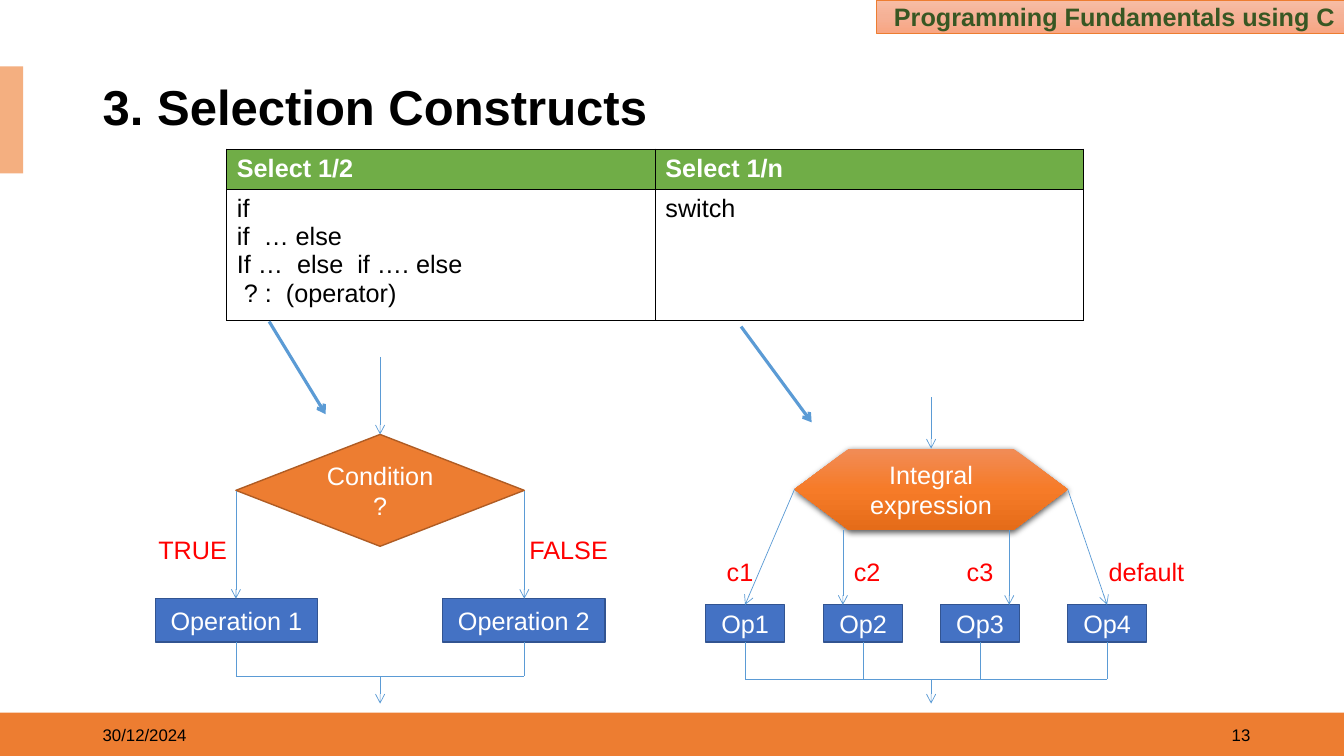
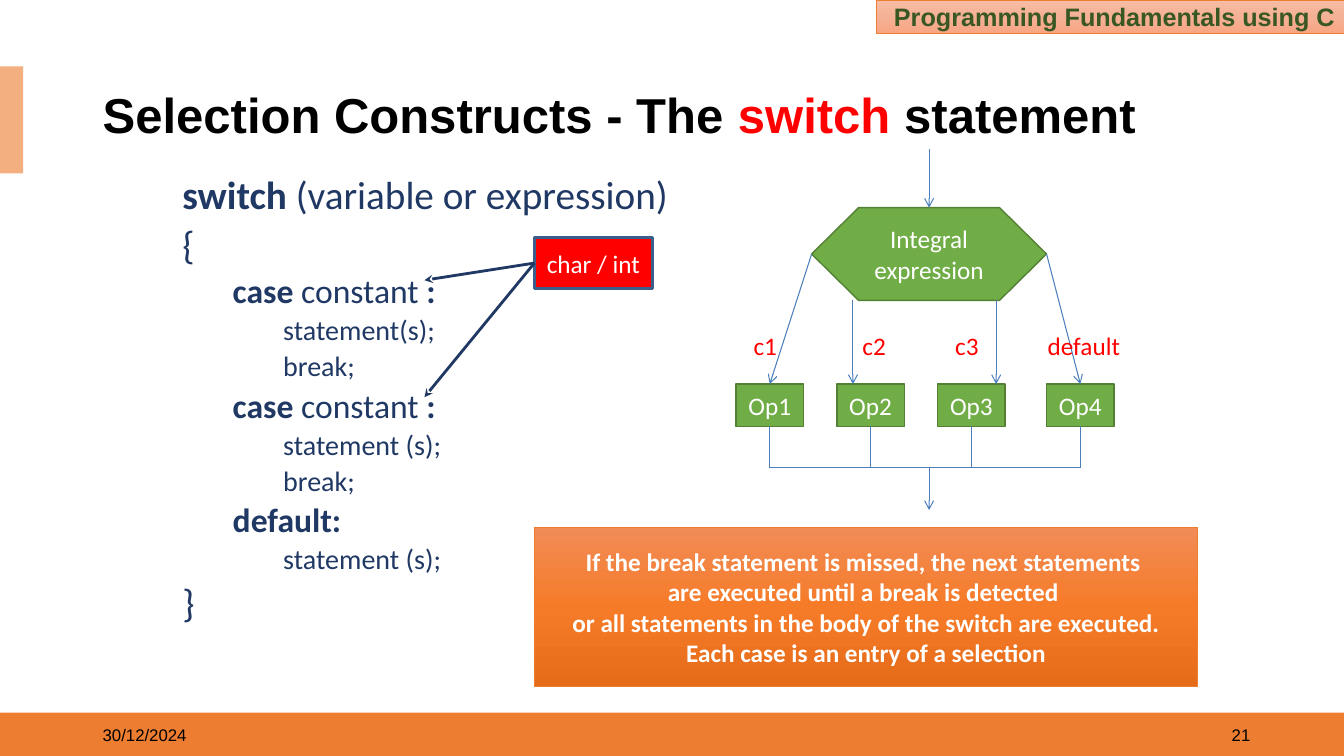
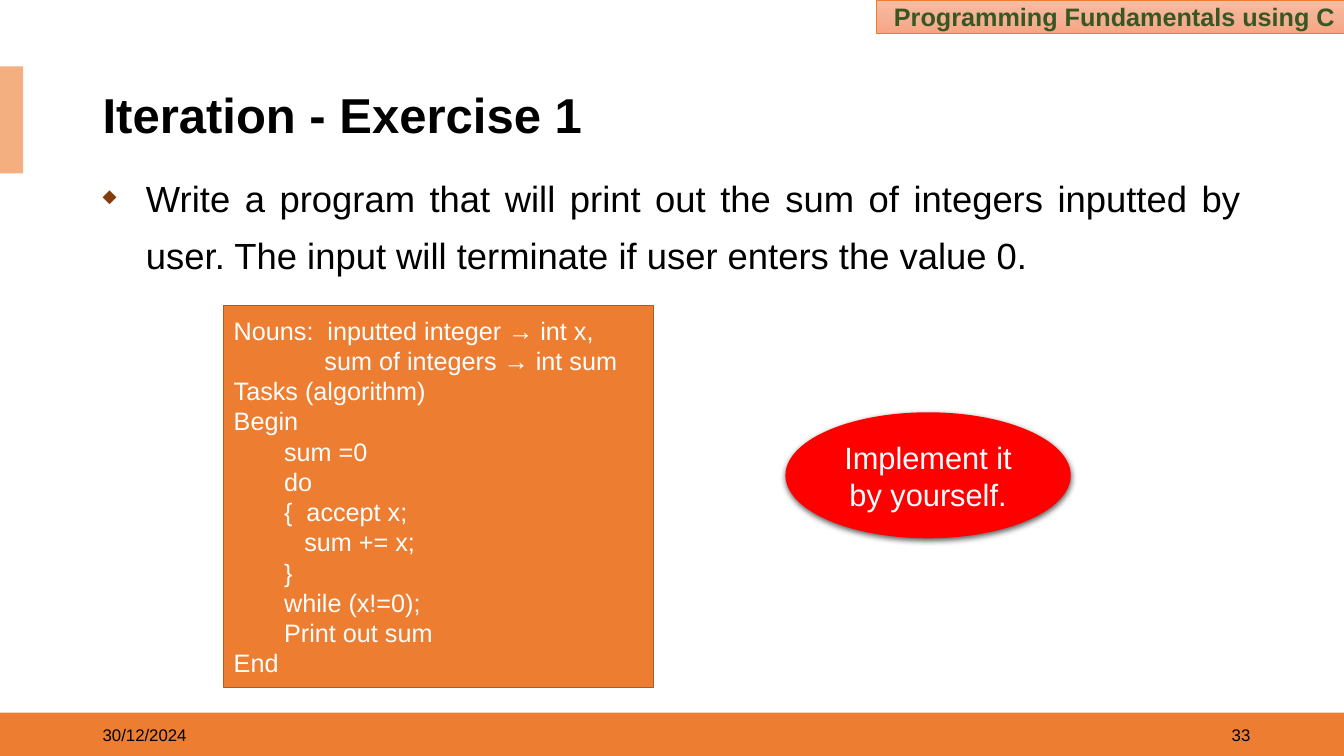
from copy import deepcopy
from lxml import etree
from pptx import Presentation
from pptx.dml.color import RGBColor
from pptx.enum import shapes, text
from pptx.oxml.ns import qn
from pptx.util import Inches, Pt

BLACK = RGBColor(0x00, 0x00, 0x00)
WHITE = RGBColor(0xFF, 0xFF, 0xFF)
RED = RGBColor(0xFF, 0x00, 0x00)
ORANGE = RGBColor(0xED, 0x7D, 0x31)
ORANGE_EDGE = RGBColor(0xAF, 0x5C, 0x24)
PEACH = RGBColor(0xF4, 0xAF, 0x80)
GREEN = RGBColor(0x70, 0xAD, 0x47)
GREEN_EDGE = RGBColor(0x53, 0x80, 0x35)
DARK_GREEN = RGBColor(0x38, 0x57, 0x23)
BLUE = RGBColor(0x44, 0x72, 0xC4)
BLUE_EDGE = RGBColor(0x32, 0x54, 0x91)
SKY = RGBColor(0x5B, 0x9B, 0xD5)
STEEL = RGBColor(0x4B, 0x7E, 0xBC)
STEEL_EDGE = RGBColor(0x3A, 0x5F, 0x8C)
NAVY = RGBColor(0x20, 0x38, 0x64)
PEACH_FADE = [RGBColor(0xF7, 0xBD, 0xA5), RGBColor(0xF5, 0xB1, 0x96), RGBColor(0xF8, 0xA5, 0x82)]
ORANGE_FADE = [RGBColor(0xF1, 0x8C, 0x57), RGBColor(0xF6, 0x7B, 0x28), RGBColor(0xE5, 0x6C, 0x19)]

SHAPE = shapes.MSO_SHAPE
LEFT, CENTER, RIGHT, JUSTIFY = (text.PP_ALIGN.LEFT, text.PP_ALIGN.CENTER,
                                text.PP_ALIGN.RIGHT, text.PP_ALIGN.JUSTIFY)
TOP, MIDDLE = text.MSO_ANCHOR.TOP, text.MSO_ANCHOR.MIDDLE


def add_box(s, kind, at, paras=(), fill=None, line=None, width=1, size=18, font="Arial",
            color=WHITE, bold=False, align=CENTER, anchor=MIDDLE, wrap=True, shadow=False):
    at = [Inches(v) for v in at]
    if kind is None:
        sp = s.shapes.add_textbox(*at)
    else:
        sp = s.shapes.add_shape(kind, *at)
        sp.shadow.inherit = False
        if isinstance(fill, list):
            sp.fill.gradient()
            sp.fill.gradient_angle = 270
            stops = sp._element.spPr.find(".//" + qn("a:gsLst"))
            stops.insert(1, deepcopy(stops[0]))
            for i, stop in enumerate(sp.fill.gradient_stops):
                stop.position = i / 2
                stop.color.rgb = fill[i]
        else:
            sp.fill.solid()
            sp.fill.fore_color.rgb = fill
        if line is None:
            sp.line.fill.background()
        else:
            sp.line.color.rgb = line
            sp.line.width = Pt(width)
    if shadow:
        effects = sp._element.spPr.find(qn("a:effectLst"))
        outer = etree.SubElement(effects, qn("a:outerShdw"), blurRad="57150", dist="19050",
                                 dir="5400000", algn="ctr", rotWithShape="0")
        clr = etree.SubElement(outer, qn("a:srgbClr"), val="000000")
        etree.SubElement(clr, qn("a:alpha"), val="63000")
    tf = sp.text_frame
    tf.word_wrap = wrap
    tf.vertical_anchor = anchor
    for i, runs in enumerate(paras):
        p = tf.paragraphs[0] if i == 0 else tf.add_paragraph()
        p.alignment = align
        for words, look in [(runs, {})] if isinstance(runs, str) else runs:
            r = p.add_run()
            r.text = words
            r.font.name = font
            r.font.size = Pt(look.get("size", size))
            r.font.bold = look.get("bold", bold)
            r.font.color.rgb = look.get("color", color)
    return sp


def add_line(s, start, end, color, width, head=None):
    cn = s.shapes.add_connector(shapes.MSO_CONNECTOR.STRAIGHT, *[Inches(v) for v in start + end])
    cn.line.color.rgb = color
    cn.line.width = Pt(width)
    if head:
        etree.SubElement(cn.line._get_or_add_ln(), qn("a:tailEnd"), type=head)
    etree.SubElement(cn._element.spPr, qn("a:effectLst"))


prs = Presentation()
prs.slide_width, prs.slide_height = Inches(13.33), Inches(7.5)

titles = [
    ("13", 0.77, "3. Selection Constructs"),
    ("21", 0.85, [("Selection Constructs - The", {}), (" switch ", {"color": RED}), ("statement", {})]),
    ("33", 0.85, "Iteration - Exercise 1"),
]
for number, top, title in titles:
    s = prs.slides.add_slide(prs.slide_layouts[6])
    add_box(s, SHAPE.RECTANGLE, (0, 7.07, 13.33, 0.44), fill=ORANGE)
    add_box(s, SHAPE.RECTANGLE, (0, 0.66, 0.23, 1.06), fill=PEACH)
    add_box(s, SHAPE.RECTANGLE, (8.69, 0, 4.65, 0.33), ["Programming Fundamentals using C"],
            PEACH_FADE, ORANGE, 0.5, color=DARK_GREEN, bold=True, align=RIGHT)
    sp = add_box(s, None, (0.92, top, 11.5, 0.63), [title], size=35, color=BLACK, bold=True, align=LEFT)
    sp.text_frame.paragraphs[0].line_spacing = 0.9
    add_box(s, None, (9.5, 7.09, 3, 0.4), [number], size=12, color=BLACK, align=RIGHT)
    add_box(s, None, (0.92, 7.09, 3, 0.4), ["30/12/2024"], size=12, color=BLACK, align=LEFT)
constructs, switch, exercise = prs.slides

s = constructs
tbl = s.shapes.add_table(2, 2, Inches(2.25), Inches(1.48), Inches(8.5), Inches(1.6)).table
tbl.horz_banding = False
cells = [
    ["Select 1/2", "Select 1/n"],
    ["if\nif  … else\nIf …  else  if …. else\n ? :  (operator)", "switch"],
]
for i, row in enumerate(cells):
    tbl.rows[i].height = Inches((0.38, 1.22)[i])
    for j, words in enumerate(row):
        c = tbl.cell(i, j)
        c.text_frame.text = words
        c.fill.solid()
        c.fill.fore_color.rgb = (GREEN, WHITE)[i]
        for p in c.text_frame.paragraphs:
            for r in p.runs:
                r.font.name, r.font.size, r.font.bold = "Arial", Pt(18), i == 0
                r.font.color.rgb = (WHITE, BLACK)[i]
        for k, side in enumerate(("a:lnL", "a:lnR", "a:lnT", "a:lnB")):
            ln = etree.Element(qn(side), w="12700")
            solid = etree.SubElement(ln, qn("a:solidFill"))
            etree.SubElement(solid, qn("a:srgbClr"), val="000000")
            c._tc.tcPr.insert(k, ln)

add_box(s, SHAPE.DIAMOND, (2.34, 4.31, 2.86, 1.11), ["Condition ?"], ORANGE, ORANGE_EDGE)
add_line(s, (3.77, 3.54), (3.77, 4.31), SKY, 0.5, "arrow")
branches = [(2.34, 1.54, "Operation 1", 1.42, "TRUE"), (5.2, 4.39, "Operation 2", 5.15, "FALSE")]
for x, left, operation, label_left, label in branches:
    add_box(s, SHAPE.RECTANGLE, (left, 5.94, 1.61, 0.43), [operation], BLUE, BLUE_EDGE)
    add_line(s, (x, 4.87), (x, 5.94), SKY, 0.5, "arrow")
    add_line(s, (x, 6.37), (x, 6.71), SKY, 0.5)
    add_box(s, None, (label_left, 5.24, 0.98, 0.43), [label], color=RED, wrap=False)
add_line(s, (2.34, 6.71), (5.2, 6.71), SKY, 0.5)
add_line(s, (3.77, 6.71), (3.77, 6.98), SKY, 0.5, "arrow")
add_line(s, (2.67, 3.19), (3.23, 4.11), SKY, 2.25, "arrow")
add_line(s, (7.35, 3.24), (8.05, 4.19), SKY, 2.25, "arrow")

s = switch
code = [
    (0, "switch", " (variable or expression)", ""),
    (0, "", "{", ""),
    (1, "case", " constant ", ":"),
    (2, "", "statement(s);", ""),
    (2, "", "break;", ""),
    (1, "case", " constant ", ":"),
    (2, "", "statement (s);", ""),
    (2, "", "break;", ""),
    (1, "default:", "", ""),
    (2, "", "statement (s);", ""),
    (0, "", "}", ""),
]
paras = [[(words, {"size": 28 - 4 * level, "bold": i != 1}) for i, words in enumerate(parts) if words]
         for level, *parts in code]
sp = add_box(s, None, (1.71, 1.69, 5.92, 4.95), paras, font="Calibri", color=NAVY, align=LEFT, anchor=TOP)
for p, (level, *parts) in zip(sp.text_frame.paragraphs, code):
    p.line_spacing = 0.9
    p.space_before = Pt(0.2 * (28 - 4 * level))
    p._p.get_or_add_pPr().set("marL", str(Inches(0.5 * level)))
add_box(s, SHAPE.RECTANGLE, (5.3, 2.36, 1.17, 0.5), ["char / int"], RED, STEEL_EDGE, 2, font="Calibri")
for y in (2.78, 3.94):
    add_line(s, (5.3, 2.61), (4.21, y), NAVY, 2, "stealth")
add_box(s, SHAPE.RECTANGLE, (5.3, 5.23, 6.58, 1.58), [
    "If the break statement is missed, the next statements ",
    "are executed until a break is detected ",
    "or all statements in the body of the switch are executed.",
    "Each case is an entry of a selection",
], ORANGE_FADE, ORANGE, 0.5, font="Calibri", bold=True, wrap=False)

flows = [
    dict(s=constructs, font="Arial", hexagon=(7.88, 4.45, 2.71, 0.81), fill=ORANGE_FADE, edge=None,
         op_fill=BLUE, op_edge=BLUE_EDGE, line=(SKY, 0.5), entry=3.94, ops=(7, 8.17, 9.33, 10.59),
         op=(6, 0.78, 0.37), drops=(8.36, 10.01), join=6.74, leave=6.98,
         labels=(7, 8.26, 9.38, 10.74), label=(5.48, 0.68, 1.26)),
    dict(s=switch, font="Calibri", hexagon=(8.05, 2.06, 2.33, 0.92), fill=GREEN, edge=GREEN_EDGE,
         op_fill=GREEN, op_edge=GREEN_EDGE, line=(STEEL, 0.75), entry=1.48, ops=(7.3, 8.3, 9.3, 10.38),
         op=(3.81, 0.67, 0.42), drops=(8.46, 9.88), join=4.64, leave=5.06,
         labels=(7.3, 8.38, 9.3, 10.21), label=(3.22, 0.58, 1.08)),
]
for f in flows:
    s, line, font = f["s"], f["line"], f["font"]
    x, y, w, h = f["hexagon"]
    op_top, op_w, op_h = f["op"]
    label_top, label_w, last_w = f["label"]
    mid = x + w / 2
    centers = [left + op_w / 2 for left in f["ops"]]
    add_box(s, SHAPE.FLOWCHART_PREPARATION, f["hexagon"], ["Integral", "expression"], f["fill"], f["edge"],
            font=font, shadow=f["edge"] is None)
    add_line(s, (mid, f["entry"]), (mid, y), *line, "arrow")
    inner_left, inner_right = f["drops"]
    starts = [(x, y + h / 2), (inner_left, y + h), (inner_right, y + h), (x + w, y + h / 2)]
    ends = [centers[0], inner_left, inner_right, centers[3]]
    for i, label in enumerate(("c1", "c2", "c3", "default")):
        add_box(s, SHAPE.RECTANGLE, (f["ops"][i], op_top, op_w, op_h), [f"Op{i + 1}"],
                f["op_fill"], f["op_edge"], font=font)
        add_line(s, starts[i], (ends[i], op_top), *line, "arrow")
        add_line(s, (centers[i], op_top + op_h), (centers[i], f["join"]), *line)
        add_box(s, None, (f["labels"][i], label_top, last_w if i == 3 else label_w, op_h), [label],
                font=font, color=RED, wrap=False)
    add_line(s, (centers[0], f["join"]), (centers[3], f["join"]), *line)
    add_line(s, (mid, f["join"]), (mid, f["leave"]), *line, "arrow")

s = exercise
sp = add_box(s, None, (0.92, 1.57, 11.5, 5.47), [
    "Write a program that will print out the sum of integers inputted by user. "
    "The input will terminate if user enters the value 0."
], size=26, color=BLACK, align=JUSTIFY, anchor=TOP)
p = sp.text_frame.paragraphs[0]
p.line_spacing = 1.3
p.space_before = Pt(10)
pPr = p._p.get_or_add_pPr()
pPr.set("marL", str(Inches(0.43)))
pPr.set("indent", str(Inches(-0.43)))
clr = etree.SubElement(pPr, qn("a:buClr"))
etree.SubElement(clr, qn("a:srgbClr"), val="843C0B")
etree.SubElement(pPr, qn("a:buSzPct"), val="50000")
etree.SubElement(pPr, qn("a:buChar"), char="◆")

algorithm = [
    (0, "Nouns:  inputted integer → int x,"),
    (0.9, "sum of integers → int sum"),
    (0, "Tasks (algorithm)"),
    (0, "Begin"),
    (0.5, "sum =0"),
    (0.5, "do"),
    (0.5, "{  accept x;"),
    (0.7, "sum += x;"),
    (0.5, "}"),
    (0.5, "while (x!=0);"),
    (0.5, "Print out sum"),
    (0, "End"),
]
sp = add_box(s, SHAPE.RECTANGLE, (2.22, 3.03, 4.26, 3.79), [words for _, words in algorithm],
             ORANGE, ORANGE_EDGE, align=LEFT)
for p, (indent, _) in zip(sp.text_frame.paragraphs, algorithm):
    p._p.get_or_add_pPr().set("marL", str(Inches(indent)))
add_box(s, SHAPE.OVAL, (7.79, 4.09, 2.83, 1.25), ["Implement it by yourself."], RED, size=22, shadow=True)

prs.save("out.pptx")
